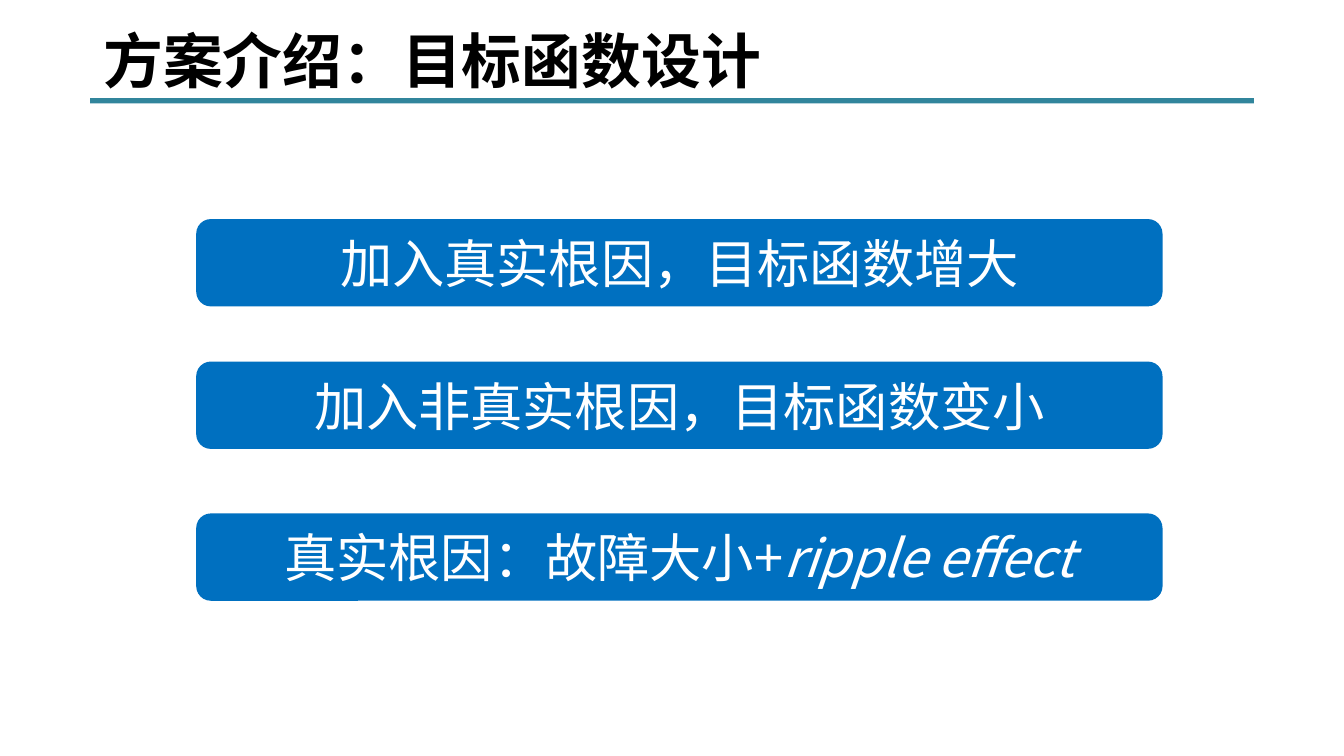
from lxml.etree import SubElement
from pptx import Presentation
from pptx.dml.color import RGBColor
from pptx.enum.shapes import MSO_SHAPE
from pptx.enum.text import MSO_ANCHOR, PP_ALIGN
from pptx.oxml.ns import qn
from pptx.util import Inches, Pt

FONT = "Noto Sans CJK SC"
COLORS = {"title": "000000", "rule": "31859C", "bar": "0070C0", "bar_text": "FFFFFF"}

# Each bar: top edge and its text runs as (text, italic)
BARS = [
    (1.63, [("加入真实根因，目标函数增大", False)]),
    (2.69, [("加入非真实根因，目标函数变小", False)]),
    (3.82, [("真实根因：故障大小+", False), ("ripple effect", True)]),
]


def add_text(p, text, size, color, bold=False, italic=False):
    r = p.add_run()
    r.text = text
    r.font.name = FONT
    r.font.size = Pt(size)
    r.font.bold = bold
    r.font.italic = italic
    r.font.color.rgb = RGBColor.from_string(COLORS[color])
    SubElement(r.font._element, qn("a:ea"), typeface=FONT)


def add_block(s, shape, color, left, top, width, height):
    sp = s.shapes.add_shape(shape, Inches(left), Inches(top), Inches(width), Inches(height))
    sp.shadow.inherit = False
    sp.fill.solid()
    sp.fill.fore_color.rgb = RGBColor.from_string(COLORS[color])
    sp.line.fill.background()
    return sp


def add_header(s, text, left, top, width):
    # Title
    sp = s.shapes.title
    sp.left, sp.top = Inches(left), Inches(top)
    sp.width, sp.height = Inches(6.06), Inches(0.64)
    tf = sp.text_frame
    tf.word_wrap = True
    tf.vertical_anchor = MSO_ANCHOR.TOP
    p = tf.paragraphs[0]
    p.alignment = PP_ALIGN.LEFT
    add_text(p, text, size=32, color="title", bold=True)
    # Rule under the title
    add_block(s, MSO_SHAPE.RECTANGLE, "rule", left, top + 0.6, width, 0.04)


def add_bar(s, runs, left, top, width, height):
    sp = add_block(s, MSO_SHAPE.ROUNDED_RECTANGLE, "bar", left, top, width, height)
    tf = sp.text_frame
    tf.word_wrap = True
    tf.margin_left = tf.margin_right = tf.margin_top = tf.margin_bottom = 0
    tf.vertical_anchor = MSO_ANCHOR.MIDDLE
    p = tf.paragraphs[0]
    p.alignment = PP_ALIGN.CENTER
    for text, italic in runs:
        add_text(p, text, size=28, color="bar_text", italic=italic)


def main():
    prs = Presentation()
    # Widescreen 16:9
    prs.slide_width = Inches(10)
    prs.slide_height = prs.slide_width * 9 // 16
    s = prs.slides.add_slide(prs.slide_layouts[5])
    add_header(s, "方案介绍：目标函数设计", 0.67, 0.13, 8.66)
    for top, runs in BARS:
        add_bar(s, runs, 1.46, top, 7.19, 0.65)
    prs.save("out.pptx")


if __name__ == "__main__":
    main()
